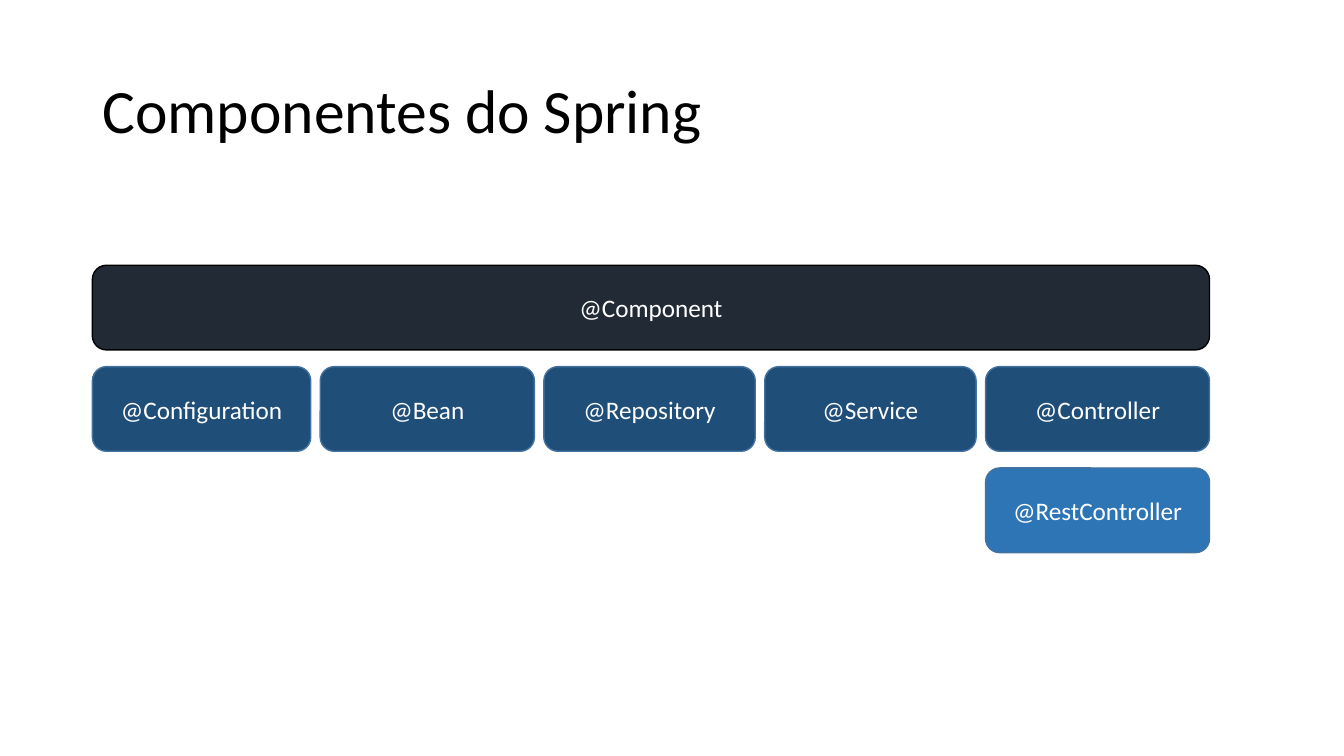
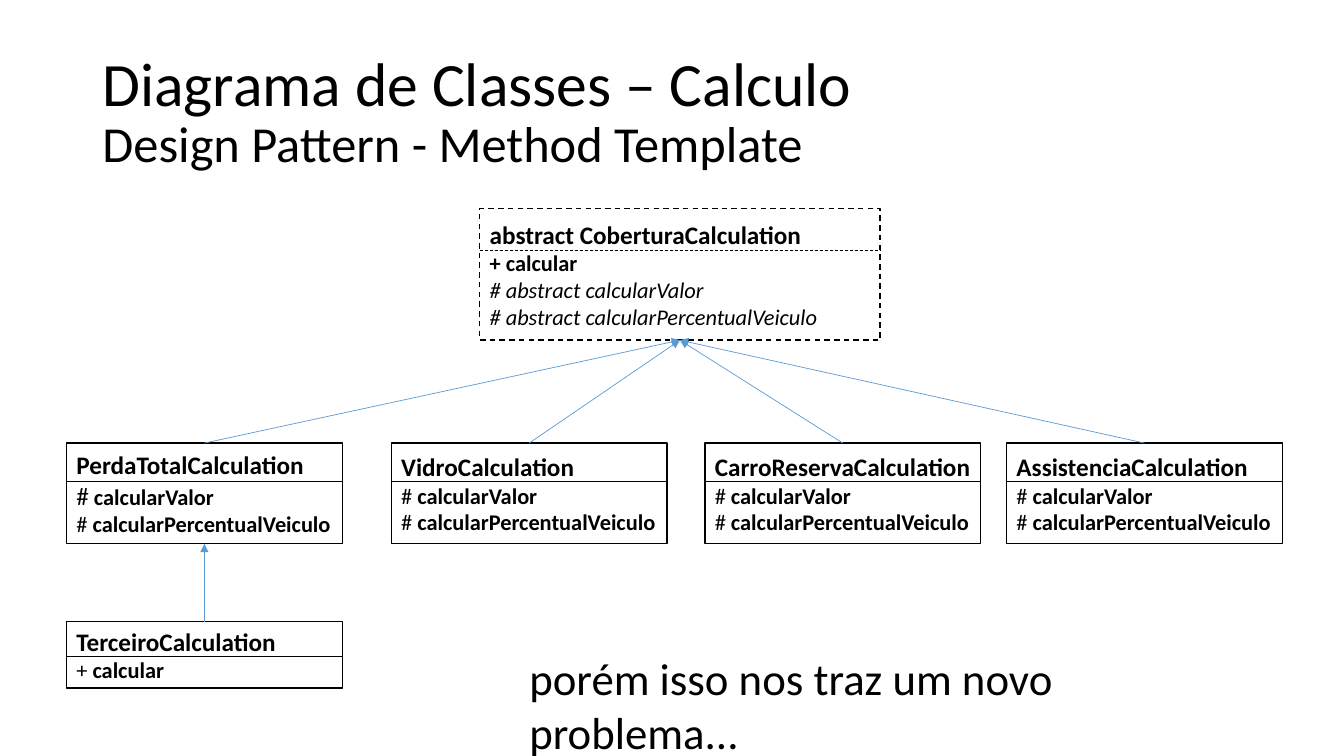
from pptx import Presentation
from pptx.dml.color import RGBColor
from pptx.enum.dml import MSO_LINE
from pptx.enum.shapes import MSO_CONNECTOR, MSO_SHAPE
from pptx.enum.text import MSO_ANCHOR, MSO_AUTO_SIZE, PP_ALIGN
from pptx.oxml.ns import qn
from pptx.util import Pt
from lxml import etree

FONT = "Calibri"
BLACK, WHITE = "000000", "FFFFFF"
NAVY, DARK_BLUE, BLUE = "222A35", "1F4E79", "2E75B6"
BLOCK_EDGE, ARROW = "43739E", "5B9BD5"
TITLE_ONLY = 5
TOP, BOTTOM = 0, 2  # connection sites of a rectangle

NAME = {"size": Pt(18), "bold": True}
SIGN = {"size": Pt(16), "bold": False}
METHOD = {"size": Pt(16), "bold": True}
ABSTRACT = {"size": Pt(16), "bold": False, "italic": True}
LARGE_SIGN = {"size": Pt(18), "bold": False}


def rgb(value):
    return RGBColor.from_string(value)


def add_run(paragraph, text, color=BLACK, **formats):
    run = paragraph.add_run()
    run.text = text
    run.font.name = FONT
    run.font.color.rgb = rgb(color)
    for key, value in formats.items():
        setattr(run.font, key, value)


def set_line(line, color, width, dash=None):
    line.color.rgb = rgb(color)
    line.width = Pt(width)
    if dash:
        line.dash_style = dash


def add_titled_slide(prs, *lines):
    """Add a slide whose title holds (text, size) lines."""
    slide = prs.slides.add_slide(prs.slide_layouts[TITLE_ONLY])
    title = slide.shapes.title
    frame = title.text_frame
    places = {"left": Pt(66), "top": Pt(28.8), "width": Pt(828), "height": Pt(104.4)}
    for key, value in places.items():
        setattr(title, key, value)
    frame.auto_size = MSO_AUTO_SIZE.NONE
    frame.vertical_anchor = MSO_ANCHOR.MIDDLE
    paragraph = frame.paragraphs[0]
    paragraph.alignment = PP_ALIGN.LEFT
    paragraph.line_spacing = 0.9
    for index, (text, size) in enumerate(lines):
        if index:
            paragraph.add_line_break()
        add_run(paragraph, text, size=Pt(size))
    return slide


def add_box(slide, kind, left, top, width, height, fill, edge, dash=None):
    box = slide.shapes.add_shape(kind, Pt(left), Pt(top), Pt(width), Pt(height))
    box.shadow.inherit = False
    box.fill.solid()
    box.fill.fore_color.rgb = rgb(fill)
    set_line(box.line, edge, 1, dash)
    box.text_frame.word_wrap = True
    box.text_frame.vertical_anchor = MSO_ANCHOR.MIDDLE
    return box


def add_block(slide, text, left, row, width, fill, edge=BLOCK_EDGE):
    """Add a rounded annotation block on the given row of the stack."""
    block = add_box(slide, MSO_SHAPE.ROUNDED_RECTANGLE,
                    left, 189.5 + 72.4 * row, width, 60.5, fill, edge)
    paragraph = block.text_frame.paragraphs[0]
    paragraph.alignment = PP_ALIGN.CENTER
    add_run(paragraph, text, WHITE, size=Pt(18))


def add_line(slide, start, end, color, dash=None):
    line = slide.shapes.add_connector(
        MSO_CONNECTOR.STRAIGHT, *(Pt(value) for value in start + end))
    set_line(line.line, color, 0.5, dash)
    etree.SubElement(line._element.spPr, qn("a:effectLst"))
    return line


def add_class(slide, name, members, left, top, width, height, header, dash=None):
    """Add a class box; each member is a list of (text, formats) runs."""
    box = add_box(slide, MSO_SHAPE.RECTANGLE, left, top, width, height,
                  WHITE, BLACK, dash)
    frame = box.text_frame
    frame.margin_right = 0
    for index, runs in enumerate([[(name, NAME)], *members]):
        paragraph = frame.add_paragraph() if index else frame.paragraphs[0]
        paragraph.alignment = PP_ALIGN.LEFT
        for text, formats in runs:
            add_run(paragraph, text, **formats)
    add_line(slide, (left, top + header), (left + width, top + header), BLACK, dash)
    return box


def add_inheritance(slide, child, parent):
    arrow = add_line(slide, (0, 0), (0, 0), ARROW)
    arrow.begin_connect(child, TOP)
    arrow.end_connect(parent, BOTTOM)
    etree.SubElement(arrow.line._get_or_add_ln(), qn("a:tailEnd"), type="triangle")


def build_components(prs):
    slide = add_titled_slide(prs, ("Componentes do Spring", 44))
    left, gap = 66, 6.75
    add_block(slide, "@Component", left, 0, 798, NAVY, BLACK)
    stereotypes = {"@Configuration": 156, "@Bean": 153, "@Repository": 151,
                   "@Service": 151, "@Controller": 160}
    for text, width in stereotypes.items():
        add_block(slide, text, left, 1, width, DARK_BLUE)
        last_left, left = left, left + width + gap
    add_block(slide, "@RestController", last_left, 2, width, BLUE)


def build_class_diagram(prs):
    slide = add_titled_slide(prs, ("Diagrama de Classes – Calculo", 44),
                             ("Design Pattern - Method Template", 36))
    base = add_class(slide, "abstract CoberturaCalculation",
                     [[("+ calcular", METHOD)],
                      [("# abstract calcularValor", ABSTRACT)],
                      [("# abstract calcularPercentualVeiculo", ABSTRACT)]],
                     342.7, 149, 286, 94, 29.5, MSO_LINE.DASH)

    left, width = 47.5, 197
    coverages = [("PerdaTotalCalculation", left, LARGE_SIGN),
                 ("VidroCalculation", 279.5, SIGN),
                 ("CarroReservaCalculation", 503.5, SIGN),
                 ("AssistenciaCalculation", 719, SIGN)]
    children = []
    for name, child_left, first_sign in coverages:
        members = [[("#", first_sign), (" calcularValor", METHOD)],
                   [("# ", SIGN), ("calcularPercentualVeiculo", METHOD)]]
        child = add_class(slide, name, members, child_left, 316.5, width, 72, 27)
        add_inheritance(slide, child, base)
        children.append(child)

    third_party = add_class(slide, "TerceiroCalculation",
                            [[("+", SIGN), (" calcular", METHOD)]],
                            left, 444, width, 47.5, 24.5)
    add_inheritance(slide, third_party, children[0])

    remark = slide.shapes.add_textbox(Pt(371), Pt(461.5), Pt(540), Pt(46))
    remark.text_frame.word_wrap = True
    add_run(remark.text_frame.paragraphs[0],
            "porém isso nos traz um novo problema...", size=Pt(32))


def main():
    prs = Presentation()
    prs.slide_width, prs.slide_height = Pt(960), Pt(540)
    build_components(prs)
    build_class_diagram(prs)
    prs.save("out.pptx")


if __name__ == "__main__":
    main()
